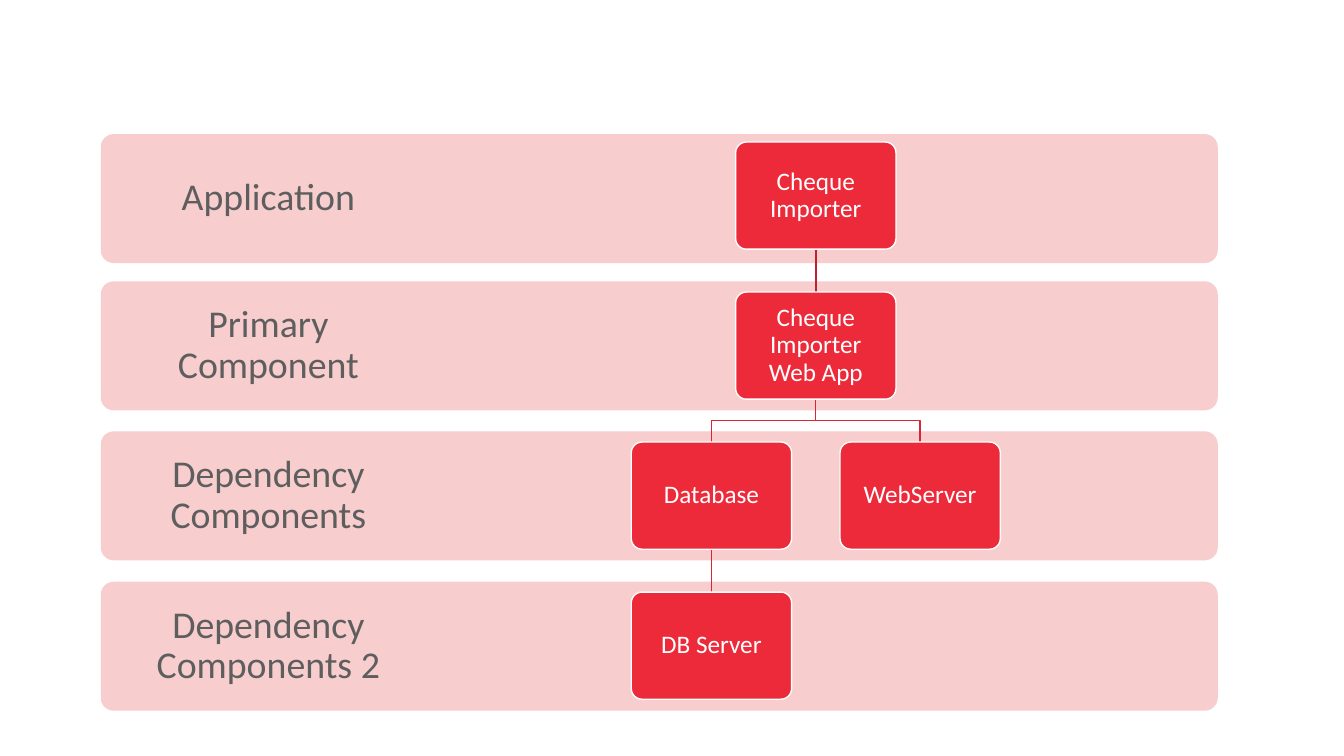
from pptx import Presentation
from pptx.dml.color import RGBColor
from pptx.enum import shapes, text
from pptx.oxml import parse_xml
from pptx.oxml.ns import nsdecls
from pptx.util import Cm, Pt

BANDS = [("Application", 3.38), ("Primary Component", 7.09),
         ("Dependency Components", 10.87), ("Dependency Components 2", 14.66)]
NODES = {"Cheque Importer": (0, 0), "Cheque Importer Web App": (0, 1),
         "Database": (-1, 2), "DB Server": (-1, 3), "WebServer": (1, 2)}
LINKS = [("Cheque Importer", "Cheque Importer Web App", "BE222E"),
         ("Cheque Importer Web App", "Database", "D72635"),
         ("Database", "DB Server", "D72635"),
         ("Cheque Importer Web App", "WebServer", "D72635")]
NODE_W, NODE_H = 4.04, 2.7
STEP_X, STEP_Y = 2.63, 3.78


def color(fmt, value):
    """Set the colour of a fill, line fill or font from a hex string."""
    if hasattr(fmt, "solid"):
        fmt.solid()
        fmt = fmt.fore_color
    else:
        fmt = fmt.color
    fmt.rgb = RGBColor.from_string(value)


def write(sp, words, size, value, inset):
    """Put centred, wrapped text in a shape."""
    tf = sp.text_frame
    tf.word_wrap = True
    tf.vertical_anchor = text.MSO_ANCHOR.MIDDLE
    tf.margin_left = tf.margin_right = tf.margin_top = tf.margin_bottom = Cm(inset)
    p = tf.paragraphs[0]
    p.text = words
    p.alignment = text.PP_ALIGN.CENTER
    p.line_spacing = 0.9
    font = p.runs[0].font
    font.name, font.size = "Calibri", Pt(size)
    color(font, value)


def rounded(s, x, y, w, h, fill):
    """Add a flat rounded rectangle."""
    sp = s.shapes.add_shape(shapes.MSO_SHAPE.ROUNDED_RECTANGLE,
                            Cm(x), Cm(y), Cm(w), Cm(h))
    sp.adjustments[0] = 0.1
    sp.shadow.inherit = False
    color(sp.fill, fill)
    sp.line.fill.background()
    return sp


def band(s, label, x, y, w, h):
    """Add a level band with its label in the left part."""
    rounded(s, x, y, w, h, "F8CDCE")
    sp = s.shapes.add_textbox(Cm(x), Cm(y), Cm(w * 0.3), Cm(h))
    write(sp, label, 27, "5E5E5E", 0.53)


def node(s, label, cx, y):
    """Add a component box centred on cx."""
    sp = rounded(s, cx - NODE_W / 2, y, NODE_W, NODE_H, "ED2A3A")
    color(sp.line.fill, "FFFFFF")
    sp.line.width = Pt(1)
    write(sp, label, 18, "FFFFFF", 0.25)


def link(s, x1, y1, x2, y2, value):
    """Join two points with a straight line or a stepped one."""
    if x1 == x2:
        sp = s.shapes.add_connector(shapes.MSO_CONNECTOR.STRAIGHT,
                                    Cm(x1), Cm(y1), Cm(x2), Cm(y2))
        sp._element.spPr.append(parse_xml(f"<a:effectLst {nsdecls('a')}/>"))
    else:
        mid = (y1 + y2) / 2
        path = s.shapes.build_freeform(Cm(x1), Cm(y1))
        path.add_line_segments([(Cm(x1), Cm(mid)), (Cm(x2), Cm(mid)),
                                (Cm(x2), Cm(y2))], close=False)
        sp = path.convert_to_shape()
        sp.fill.background()
        sp.shadow.inherit = False
    color(sp.line.fill, value)
    sp.line.width = Pt(1)


def tree(s, cx, top):
    """Draw the component tree with its root centred on cx."""
    spots = {name: (cx + col * STEP_X, top + row * STEP_Y)
             for name, (col, row) in NODES.items()}
    for parent, child, value in LINKS:
        x, y = spots[parent]
        link(s, x, y + NODE_H, *spots[child], value)
    for name, spot in spots.items():
        node(s, name, *spot)


def main():
    """Build and save the slide."""
    prs = Presentation()
    prs.slide_width, prs.slide_height = Cm(33.87), Cm(19.05)
    s = prs.slides.add_slide(prs.slide_layouts[6])
    for label, y in reversed(BANDS):
        band(s, label, 2.54, y, 28.15, 3.25)
    tree(s, 20.56, 3.58)
    prs.save("out.pptx")


if __name__ == "__main__":
    main()
